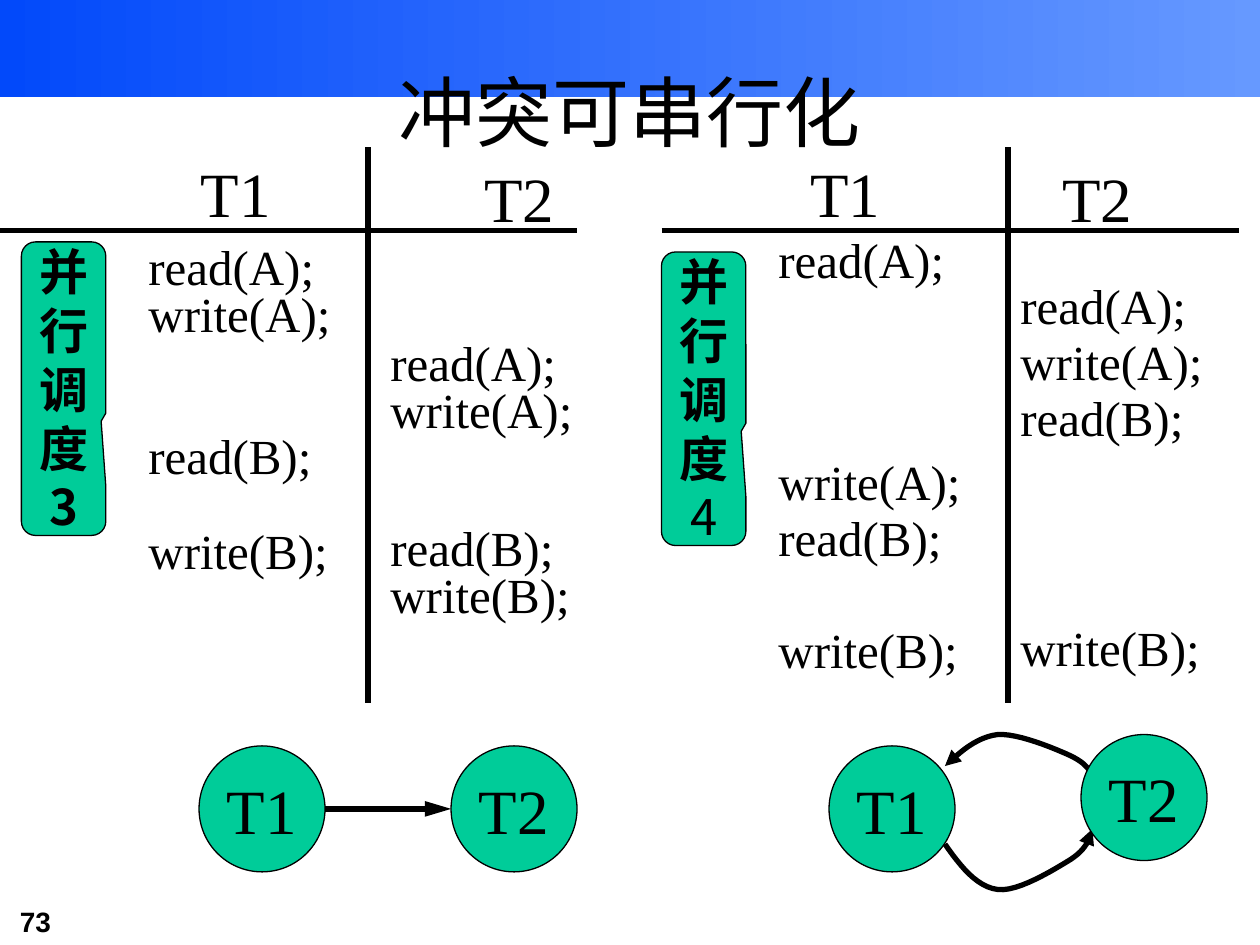
"""Build the slide comparing two parallel schedules and their precedence graphs."""
import lxml.etree
import pptx
import pptx.dml.color
import pptx.enum.shapes
import pptx.enum.text
import pptx.oxml.ns
import pptx.util

Inches = pptx.util.Inches
Pt = pptx.util.Pt
RGBColor = pptx.dml.color.RGBColor
MSO_SHAPE = pptx.enum.shapes.MSO_SHAPE
PP_ALIGN = pptx.enum.text.PP_ALIGN
MIDDLE = pptx.enum.text.MSO_ANCHOR.MIDDLE
qn = pptx.oxml.ns.qn

BLACK = RGBColor(0x00, 0x00, 0x00)
GREEN = RGBColor(0x00, 0xCC, 0x99)
BLUE = RGBColor(0x02, 0x49, 0xFA)
LIGHT_BLUE = RGBColor(0x66, 0x99, 0xFF)
SERIF = "Times New Roman"
CJK = "Noto Sans CJK SC"


def write(tf, lines, size, font=SERIF, align=PP_ALIGN.CENTER, bold=False):
    for i, line in enumerate(lines):
        p = tf.paragraphs[0] if i == 0 else tf.add_paragraph()
        p.text = line
        p.alignment = align
        p.font.size = Pt(size)
        p.font.name = font
        p.font.bold = bold
        p.font.color.rgb = BLACK


def style_line(sp, arrow=None, length="med"):
    sp.line.color.rgb = BLACK
    sp.line.width = Pt(3)
    if arrow:
        lxml.etree.SubElement(sp.line._get_or_add_ln(), qn(arrow),
                              type="triangle", w="med", len=length)
    lxml.etree.SubElement(sp._element.spPr, qn("a:effectLst"))


prs = pptx.Presentation()
prs.slide_width, prs.slide_height = Inches(10), Inches(7.5)
s = prs.slides.add_slide(prs.slide_layouts[5])

title = s.shapes.title
title.left, title.top = Inches(0.75), Inches(0.25)
title.width, title.height = Inches(8.5), Inches(1.25)
title.text_frame.vertical_anchor = MIDDLE
write(title.text_frame, ["冲突可串行化"], 44)

banner = s.shapes.add_shape(MSO_SHAPE.RECTANGLE, 0, 0, Inches(10), Inches(0.77))
banner.shadow.inherit = False
banner.line.fill.background()
banner.fill.gradient()
banner.fill.gradient_angle = 0
for stop, color in zip(banner.fill.gradient_stops, (BLUE, LIGHT_BLUE)):
    stop.color.rgb = color
title._element.addprevious(banner._element)

number = s.shapes.add_textbox(Inches(0.06), Inches(7.13), Inches(1.22), Inches(0.37))
number.text_frame.word_wrap = True
write(number.text_frame, ["73"], 16, "Arial", PP_ALIGN.LEFT, True)

rules = [(0, 1.83, 4.58, 1.83), (2.92, 1.17, 2.92, 5.58),
         (5.25, 1.83, 9.83, 1.83), (8, 1.17, 8, 5.58)]
for ends in rules:
    style_line(s.shapes.add_connector(pptx.enum.shapes.MSO_CONNECTOR.STRAIGHT,
                                      *map(Inches, ends)))

headings = [("T1", 1.33, 1.18), ("T2", 3.58, 1.22), ("T1", 6.17, 1.18), ("T2", 8.17, 1.22)]
for text, x, y in headings:
    sp = s.shapes.add_textbox(Inches(x), Inches(y), Inches(1.08), Inches(0.7))
    sp.text_frame.word_wrap = True
    write(sp.text_frame, [text], 36)

for digit, x, y in [("3", 0.17, 1.92), ("4", 5.25, 2)]:
    sp = s.shapes.add_shape(MSO_SHAPE.ROUNDED_RECTANGULAR_CALLOUT,
                            Inches(x), Inches(y), Inches(0.67), Inches(2.33))
    sp.shadow.inherit = False
    for i, value in enumerate((0.445, 0.111, 0.167)):
        sp.adjustments[i] = value
    sp.fill.solid()
    sp.fill.fore_color.rgb = GREEN
    sp.line.color.rgb = BLACK
    sp.line.width = Pt(0.75)
    tf = sp.text_frame
    tf.word_wrap = False
    tf.vertical_anchor = MIDDLE
    write(tf, [*"并行调度", digit], 28, CJK, bold=True)
    tf.paragraphs[-1].font.bold = digit == "3"

operations = [
    (1.08, 1.92, 2.17, 0.85, 0.8, 0, ["read(A);", "write(A);"]),
    (3, 2.68, 2.17, 0.85, 0.8, 0, ["read(A);", "write(A);"]),
    (1.08, 3.42, 1.67, 1.22, 0.8, 27, ["read(B);", "write(B);"]),
    (3, 4.15, 1.92, 0.85, 0.8, 0, ["read(B);", "write(B);"]),
    (6.08, 1.86, 2.17, 0.48, 0.8, 0, ["read(A);"]),
    (8, 2.17, 1.92, 1.43, 0.95, 0, ["read(A);", "write(A);", "read(B);"]),
    (6.08, 3.57, 1.92, 1.88, 0.95, 32, ["write(A);", "read(B);", "write(B);"]),
    (8, 4.94, 1.92, 0.48, 0.8, 0, ["write(B);"]),
]
for x, y, w, h, spacing, gap, lines in operations:
    sp = s.shapes.add_textbox(Inches(x), Inches(y), Inches(w), Inches(h))
    tf = sp.text_frame
    tf.word_wrap = True
    write(tf, lines, 28, align=PP_ALIGN.LEFT)
    for p in tf.paragraphs:
        p.line_spacing = spacing
    if gap:
        tf.paragraphs[-1].space_before = Pt(gap)

curves = [
    ("a:headEnd", [(7.5, 6.08), (7.62, 5.97), (7.75, 5.85), (7.92, 5.83), (8.08, 5.82),
                   (8.37, 5.94), (8.5, 6), (8.62, 6.06), (8.65, 6.11), (8.67, 6.17)]),
    ("a:tailEnd", [(7.5, 6.7), (7.62, 6.87), (7.75, 7.04), (7.92, 7.06), (8.08, 7.08),
                   (8.37, 6.9), (8.5, 6.82), (8.62, 6.74), (8.65, 6.66), (8.67, 6.58)]),
]
STEPS = 12
for arrow, controls in curves:
    points = []
    for i in range(0, len(controls) - 1, 3):
        for t in (k / STEPS for k in range(1, STEPS + 1)):
            weights = ((1 - t) ** 3, 3 * t * (1 - t) ** 2, 3 * t ** 2 * (1 - t), t ** 3)
            points.append([Inches(sum(w * c[axis] for w, c in zip(weights, controls[i:i + 4])))
                           for axis in (0, 1)])
    builder = s.shapes.build_freeform(*map(Inches, controls[0]))
    builder.add_line_segments(points, close=False)
    sp = builder.convert_to_shape()
    sp.fill.background()
    style_line(sp, arrow)

nodes = [("T1", 1.58, 5.92), ("T2", 3.58, 5.92), ("T1", 6.58, 5.92), ("T2", 8.58, 5.83)]
for text, x, y in nodes:
    sp = s.shapes.add_shape(MSO_SHAPE.OVAL, Inches(x), Inches(y), Inches(1), Inches(1))
    sp.shadow.inherit = False
    sp.fill.solid()
    sp.fill.fore_color.rgb = GREEN
    sp.line.color.rgb = BLACK
    sp.line.width = Pt(0.75)
    sp.text_frame.word_wrap = False
    sp.text_frame.vertical_anchor = MIDDLE
    write(sp.text_frame, [text], 36)

edge = s.shapes.add_connector(pptx.enum.shapes.MSO_CONNECTOR.STRAIGHT,
                              Inches(2.58), Inches(6.42), Inches(3.58), Inches(6.42))
style_line(edge, "a:tailEnd", "lg")

prs.save("out.pptx")
